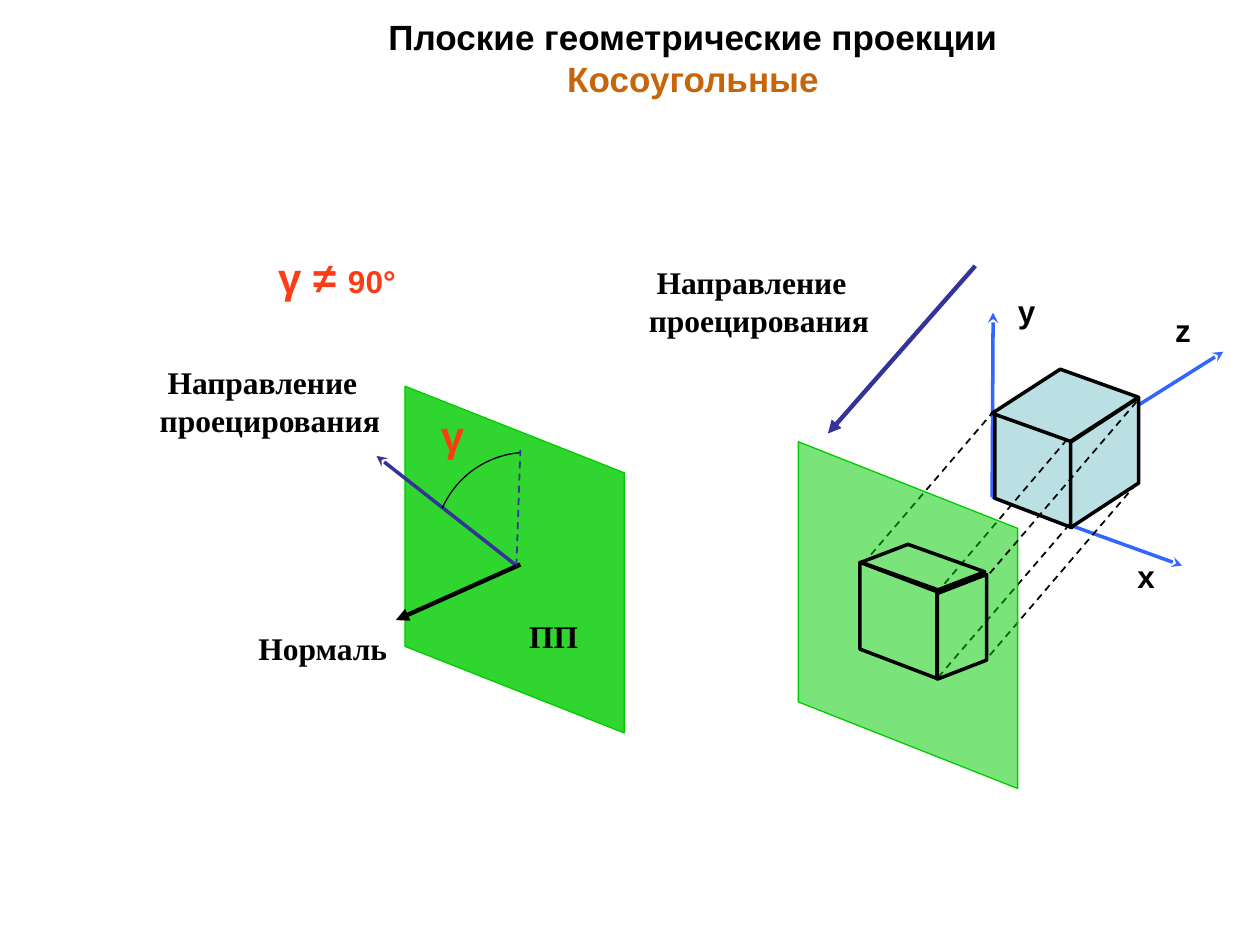
from lxml.etree import SubElement
from pptx import Presentation
from pptx.dml.color import RGBColor
from pptx.enum.dml import MSO_LINE
from pptx.enum.shapes import MSO_CONNECTOR, MSO_SHAPE
from pptx.enum.text import MSO_ANCHOR, MSO_AUTO_SIZE, PP_ALIGN
from pptx.oxml.ns import qn
from pptx.util import Cm, Pt

BLACK, RED, ORANGE = "000000", "FD3C15", "C7650B"
AXIS_BLUE, RAY_BLUE = "3366FF", "333399"
GREEN, CUBE_BLUE = "00CC00", "BBE0E3"
SANS, SERIF = "Arial", "Times New Roman"


def color(hex_string):
    return RGBColor.from_string(hex_string)


class Diagram:
    """Holds the current page and draws its elements; lengths are in centimetres."""

    def __init__(self, page):
        self.page = page

    def style(self, span, size=18, font=SANS, ink=BLACK):
        span.font.name = font
        span.font.size = Pt(size)
        span.font.bold = True
        span.font.color.rgb = color(ink)

    def title(self, place, heading, subheading):
        box = self.page.shapes.title
        box.left, box.top, box.width, box.height = map(Cm, place)
        frame = box.text_frame
        frame.text = f"{heading}\v{subheading}"
        frame.auto_size = MSO_AUTO_SIZE.NONE
        frame.vertical_anchor = MSO_ANCHOR.MIDDLE
        para = frame.paragraphs[0]
        para.alignment = PP_ALIGN.CENTER
        for span, ink in zip(para.runs, (BLACK, ORANGE)):
            self.style(span, 20, ink=ink)

    def label(self, place, text, **look):
        box = self.page.shapes.add_textbox(*map(Cm, place))
        frame = box.text_frame
        frame.text = text
        frame.word_wrap = False
        frame.auto_size = MSO_AUTO_SIZE.SHAPE_TO_FIT_TEXT
        for para in frame.paragraphs:
            for span in para.runs:
                self.style(span, **look)
        return frame

    def line(self, start, end, ink=BLACK, width=1, dashed=False, arrow=None):
        connector = self.page.shapes.add_connector(
            MSO_CONNECTOR.STRAIGHT, *map(Cm, start + end))
        connector.line.color.rgb = color(ink)
        connector.line.width = Pt(width)
        if dashed:
            connector.line.dash_style = MSO_LINE.DASH
        properties = connector._element.spPr
        if arrow:
            SubElement(properties.find(qn("a:ln")), qn("a:tailEnd"), type=arrow)
        SubElement(properties, qn("a:effectLst"))

    def outline(self, kind, place, adjustments, ink=BLACK, width=2.0):
        shape = self.page.shapes.add_shape(kind, *map(Cm, place))
        for index, value in enumerate(adjustments):
            shape.adjustments[index] = value
        shape.shadow.inherit = False
        shape.fill.background()
        shape.line.color.rgb = color(ink)
        shape.line.width = Pt(width)
        return shape

    def face(self, place, slant, rotation, fill=None, flipped=False):
        shape = self.outline(MSO_SHAPE.PARALLELOGRAM, place, [slant])
        shape.rotation = rotation
        if fill:
            shape.fill.solid()
            shape.fill.fore_color.rgb = color(fill)
        if flipped:
            shape._element.spPr.find(qn("a:xfrm")).set("flipH", "1")
        return shape

    def plane(self, left, top, opacity):
        """Draws a translucent projection plane."""
        shape = self.face((left, top, 6.99, 4.42), 0.395, 270, GREEN)
        shape.line.color.rgb = color(GREEN)
        shape.line.width = Pt(0.75)
        tint = shape._element.spPr.find(qn("a:solidFill"))[0]
        SubElement(tint, qn("a:alpha"), val=str(opacity * 1000))

    def arc(self, place, start, end):
        """Draws an arc clockwise between two angles given in degrees."""
        self.outline(MSO_SHAPE.ARC, place, [start * 0.6, end * 0.6], width=0.75)


def draw_angle(diagram):
    """Draws the plane with its normal, the projection direction and their angle."""
    foot = (10.41, 11.4)
    diagram.plane(6.88, 9.07, 81)
    diagram.line(foot, (7.59, 9.19), RAY_BLUE, 2, arrow="stealth")
    diagram.label((2.97, 7.19, 4.95, 1.78), DIRECTION, font=SERIF)
    diagram.label((10.26, 12.32, 1.65, 1.02), " ПП", font=SERIF)
    diagram.line((10.49, 11.38), (7.98, 12.5), width=2.5, arrow="triangle")
    diagram.arc((8.76, 9.12, 3.76, 3.76), 203.8, 265.4)
    diagram.label((8.64, 8.13, 0.99, 1.27), "γ", size=24, ink=RED)
    diagram.label((4.8, 12.55, 3.28, 1.02), " Нормаль", font=SERIF)
    diagram.line(foot, (10.49, 9.07), RAY_BLUE, dashed=True)
    condition = diagram.label((5.36, 4.95, 3.07, 1.27), "γ ≠ ", size=24, ink=RED)
    degrees = condition.paragraphs[0].add_run()
    degrees.text = "90°"
    diagram.style(degrees, ink=RED)


def draw_projection(diagram):
    """Draws the cube, its rays and its image on the plane."""
    diagram.face((19.66, 8.69, 2.34, 1.55), 0.381, 270, CUBE_BLUE)
    diagram.face((20.96, 8.64, 2.62, 1.37), 0.655, 90, CUBE_BLUE, flipped=True)
    diagram.face((20.14, 7.52, 2.67, 1.3), 0.764, 199.7, CUBE_BLUE)
    diagram.line((19.66, 5.36), (16.69, 8.74), RAY_BLUE, 2.5, arrow="triangle")
    rays = [
        ((20.04, 8.28), (17.37, 11.4)),
        ((21.51, 8.86), (18.85, 11.99)),
        ((21.56, 10.57), (18.9, 13.67)),
        ((22.91, 9.75), (19.84, 13.34)),
    ]
    for corner, image in rays:
        diagram.line(corner, image, dashed=True)
    diagram.label((12.83, 5.18, 4.95, 1.78), DIRECTION, font=SERIF)
    for name, left, top in (("z", 23.44, 6.15), ("y", 20.27, 5.77), ("x", 22.68, 11.1)):
        diagram.label((left, top, 0.86, 1.02), name)
    diagram.plane(14.81, 10.19, 52)
    diagram.face((16.94, 11.73, 2.34, 1.55), 0.381, 270)
    diagram.face((17.4, 11.1, 2.41, 0.66), 1.161, 199.7)
    diagram.face((18.34, 12.14, 2.11, 0.99), 0.386, 90, flipped=True)
    diagram.line((22.91, 8.1), (19.89, 11.63), dashed=True)


DIRECTION = " Направление\nпроецирования"


def main():
    deck = Presentation()
    deck.slide_width, deck.slide_height = Cm(25.4), Cm(19.05)
    diagram = Diagram(deck.slides.add_slide(deck.slide_layouts[5]))
    diagram.title((2.54, -0.08, 22.86, 2.46),
                  "Плоские геометрические проекции", "Косоугольные")
    for tip in ((24.66, 7.09), (23.83, 11.4), (20.02, 6.3)):
        diagram.line((20, 10.02), tip, AXIS_BLUE, 2, arrow="stealth")
    draw_angle(diagram)
    draw_projection(diagram)
    deck.save("out.pptx")


if __name__ == "__main__":
    main()
